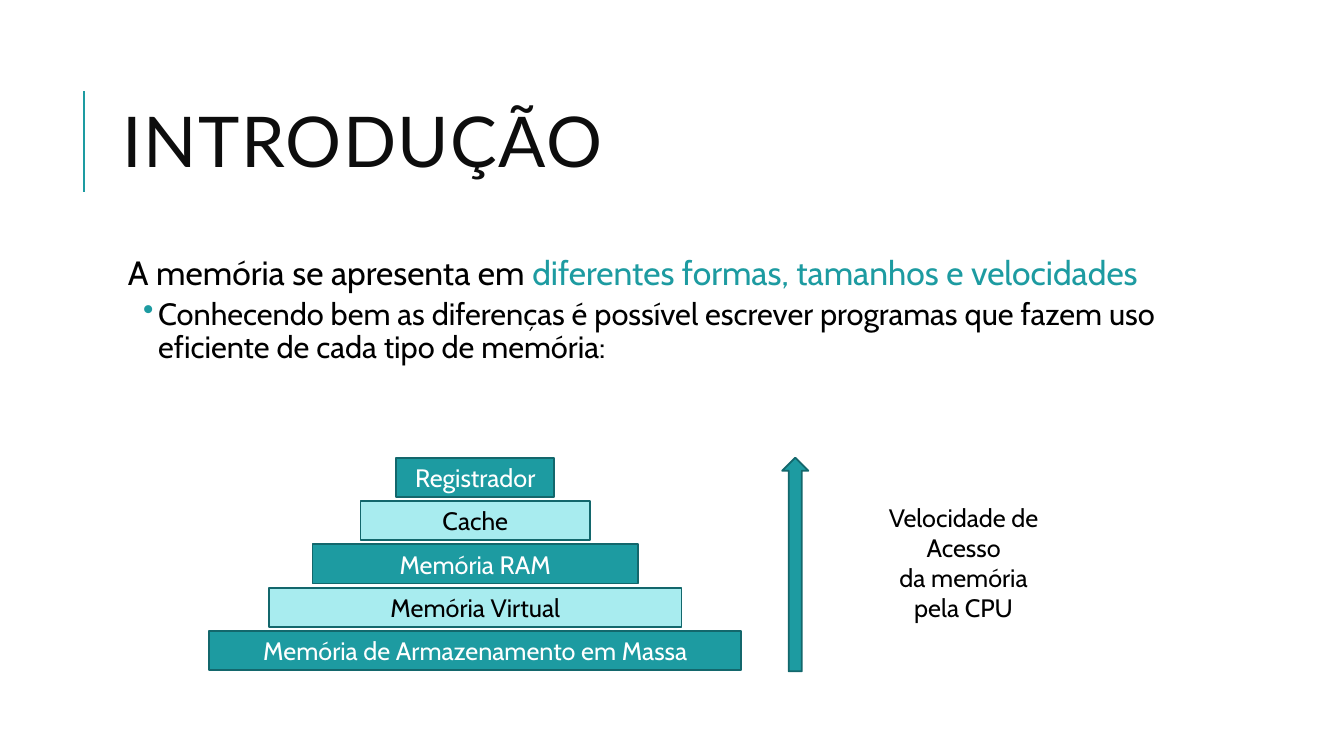
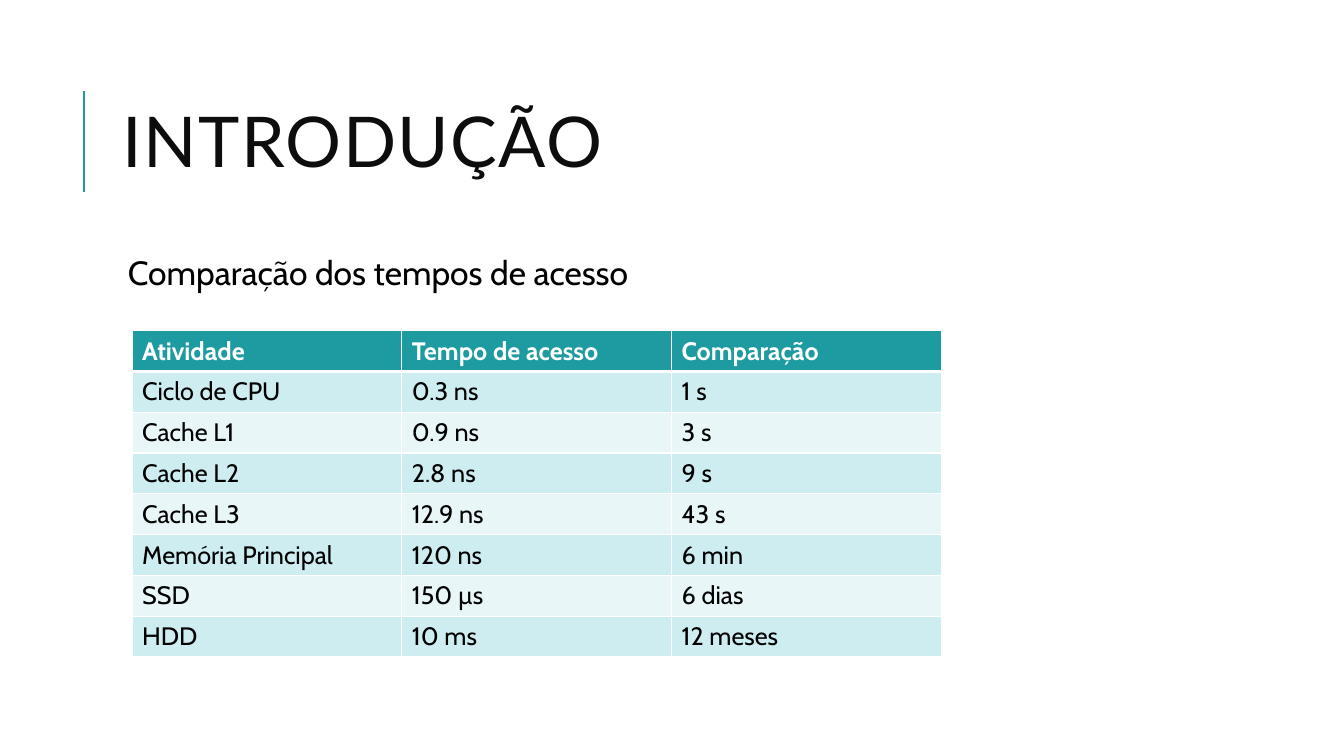
"""Builds two slides on the memory hierarchy and its access times."""
from dataclasses import dataclass
from typing import Optional

from lxml.etree import SubElement
from pptx import Presentation
from pptx.dml.color import RGBColor
from pptx.enum.shapes import MSO_CONNECTOR, MSO_SHAPE as Shape
from pptx.enum.text import MSO_ANCHOR as Anchor, PP_ALIGN as Align
from pptx.oxml.ns import qn
from pptx.util import Emu, Inches, Pt

COLS, ROWS = 160, 90
UNIT = Inches(1) // 12

TEAL = RGBColor(0x1D, 0x9B, 0xA1)
DARK_TEAL = RGBColor(0x13, 0x67, 0x6C)
AQUA = RGBColor(0xA8, 0xEC, 0xEF)
BAND = RGBColor(0xCD, 0xED, 0xF0)
PALE_BAND = RGBColor(0xE8, 0xF6, 0xF8)
INK = RGBColor(0x0D, 0x0D, 0x0D)
BLACK = RGBColor(0, 0, 0)
WHITE = RGBColor(0xFF, 0xFF, 0xFF)

TITLE_FONT, BODY_FONT = "Lato", "Cabin"


@dataclass(frozen=True)
class Box:
    """A rectangle in grid columns and rows."""
    left: float
    top: float
    width: float
    height: float

    def emu(self) -> tuple[Emu, ...]:
        """Return left, top, width and height as slide lengths."""
        return tuple(grid(n) for n in (self.left, self.top, self.width, self.height))


@dataclass(frozen=True)
class Level:
    """A step of the memory pyramid."""
    name: str
    width: float


TITLE_BOX = Box(13.44, 7.68, 127.56, 19.68)
BODY_BOX = Box(13.44, 30, 127.56, 52.8)
ARROW_BOX = Box(93.12, 54.48, 3.12, 25.44)
NOTE_BOX = Box(100.32, 59.16, 28.8, 12.12)
TABLE_BOX = Box(15.72, 39.36, 96.36, 38.88)

PYRAMID_CENTER, PYRAMID_TOP = 56.58, 54.48
LEVEL_HEIGHT, LEVEL_PITCH = 4.68, 5.16
LEVELS = [
    Level("Registrador", 18.84),
    Level("Cache", 27.36),
    Level("Memória RAM", 38.76),
    Level("Memória Virtual", 49.08),
    Level("Memória de Armazenamento em Massa", 63.36),
]

ACCESS_TIMES = [
    ("Atividade", "Tempo de acesso", "Comparação"),
    ("Ciclo de CPU", "0.3 ns", "1 s"),
    ("Cache L1", "0.9 ns", "3 s"),
    ("Cache L2", "2.8 ns", "9 s"),
    ("Cache L3", "12.9 ns", "43 s"),
    ("Memória Principal", "120 ns", "6 min"),
    ("SSD", "150 µs", "6 dias"),
    ("HDD", "10 ms", "12 meses"),
]


def grid(n: float) -> Emu:
    """Convert grid units to a slide length."""
    return Emu(round(n * UNIT))


def write(p, text: str, *, size: float = 18, color: RGBColor = BLACK,
          font: str = BODY_FONT, bold: bool = False, tracking: float = 0,
          align: Optional[Align] = None) -> None:
    """Add formatted text to a paragraph, breaking lines at newlines."""
    if align is not None:
        p.alignment = align
    for i, line in enumerate(text.split("\n")):
        if i:
            p.add_line_break()
        r = p.add_run()
        r.text = line
        r.font.size, r.font.name, r.font.bold = Pt(size), font, bold
        r.font.color.rgb = color
        if tracking:
            r.font._element.set("spc", str(round(tracking * 100)))


def space(p, line: float, before: float = 0, after: float = 0) -> None:
    """Set the line and paragraph spacing."""
    p.line_spacing, p.space_before, p.space_after = line, Pt(before), Pt(after)


def indent(p, left: float, hanging: float = 0, bullet: str = "") -> None:
    """Indent a paragraph by inches and give it an optional bullet."""
    pPr = p._p.get_or_add_pPr()
    pPr.set("marL", str(Inches(left)))
    pPr.set("indent", str(-Inches(hanging)))
    if bullet:
        color = SubElement(pPr, qn("a:buClr"))
        SubElement(color, qn("a:srgbClr"), val=str(TEAL))
        SubElement(pPr, qn("a:buChar"), char=bullet)


def add_text_box(s, box: Box, anchor: Anchor = Anchor.TOP):
    """Add a wrapping text box and return its text frame."""
    tf = s.shapes.add_textbox(*box.emu()).text_frame
    tf.word_wrap = True
    tf.vertical_anchor = anchor
    return tf


def add_shape(s, kind: Shape, box: Box, fill: RGBColor):
    """Add a filled shape with the dark outline."""
    sp = s.shapes.add_shape(kind, *box.emu())
    sp.shadow.inherit = False
    sp.fill.solid()
    sp.fill.fore_color.rgb = fill
    sp.line.color.rgb = DARK_TEAL
    sp.line.width = Pt(1.25)
    return sp


def add_slide(prs, title: str, heading: list[tuple[str, RGBColor]]):
    """Add a slide with rule, title and heading; return it and its body frame."""
    s = prs.slides.add_slide(prs.slide_layouts[6])
    rule = s.shapes.add_connector(MSO_CONNECTOR.STRAIGHT, grid(10), grid(22.8),
                                  grid(10), grid(10.8))
    rule.line.color.rgb = TEAL
    rule.line.width = Pt(1.5)
    SubElement(rule._element.spPr, qn("a:effectLst"))

    p = add_text_box(s, TITLE_BOX, Anchor.MIDDLE).paragraphs[0]
    space(p, 0.8)
    write(p, title, size=50, color=INK, font=TITLE_FONT, tracking=1)

    tf = add_text_box(s, BODY_BOX)
    tf.margin_left = tf.margin_right = Inches(0.05)
    p = tf.paragraphs[0]
    space(p, 0.9, 12, 2)
    indent(p, 0.1)
    for text, color in heading:
        write(p, text, size=24, color=color)
    return s, tf


def add_pyramid(s) -> None:
    """Draw the memory levels, centred on one axis."""
    for i, level in enumerate(LEVELS):
        box = Box(PYRAMID_CENTER - level.width / 2, PYRAMID_TOP + i * LEVEL_PITCH,
                  level.width, LEVEL_HEIGHT)
        fill, color = (AQUA, BLACK) if i % 2 else (TEAL, WHITE)
        tf = add_shape(s, Shape.RECTANGLE, box, fill).text_frame
        tf.vertical_anchor = Anchor.MIDDLE
        write(tf.paragraphs[0], level.name, color=color, align=Align.CENTER)


def set_borders(cell, **widths: float) -> None:
    """Give the named sides of a cell white borders of the given widths."""
    tcPr = cell._tc.get_or_add_tcPr()
    for i, (side, width) in enumerate(widths.items()):
        ln = tcPr.makeelement(qn(f"a:ln{side}"), {"w": str(Pt(width))})
        fill = SubElement(ln, qn("a:solidFill"))
        SubElement(fill, qn("a:srgbClr"), val=str(WHITE))
        tcPr.insert(i, ln)


def add_access_table(s) -> None:
    """Draw the banded table of access times."""
    n_rows, n_cols = len(ACCESS_TIMES), len(ACCESS_TIMES[0])
    table = s.shapes.add_table(n_rows, n_cols, *TABLE_BOX.emu()).table
    for column in table.columns:
        column.width = grid(TABLE_BOX.width / n_cols)
    for i, values in enumerate(ACCESS_TIMES):
        table.rows[i].height = grid(TABLE_BOX.height / n_rows)
        header = i == 0
        fill = TEAL if header else BAND if i % 2 else PALE_BAND
        for j, value in enumerate(values):
            cell = table.cell(i, j)
            cell.fill.solid()
            cell.fill.fore_color.rgb = fill
            set_borders(cell, L=1, R=1, T=3 if i == 1 else 1, B=3 if header else 1)
            write(cell.text_frame.paragraphs[0], value, bold=header,
                  color=WHITE if header else BLACK)


def add_hierarchy_slide(prs) -> None:
    """Add the slide with the memory pyramid."""
    s, tf = add_slide(prs, "INTRODUÇÃO", [
        ("A memória se apresenta em ", BLACK),
        ("diferentes formas, tamanhos e velocidades", TEAL),
    ])
    p = tf.add_paragraph()
    p.level = 1
    space(p, 0.9, 2, 4)
    indent(p, 0.4, 0.15, "•")
    write(p, "Conhecendo bem as diferenças é possível escrever programas que "
             "fazem uso eficiente de cada tipo de memória:", size=22)
    add_shape(s, Shape.UP_ARROW, ARROW_BOX, TEAL)
    write(add_text_box(s, NOTE_BOX).paragraphs[0],
          "Velocidade de Acesso\nda memória\npela CPU", align=Align.CENTER)
    add_pyramid(s)


def add_times_slide(prs) -> None:
    """Add the slide with the table of access times."""
    s, _ = add_slide(prs, "INTRODUÇÃO", [("Comparação dos tempos de acesso", BLACK)])
    add_access_table(s)


def main() -> None:
    """Build and save the presentation."""
    prs = Presentation()
    prs.slide_width, prs.slide_height = grid(COLS), grid(ROWS)
    add_hierarchy_slide(prs)
    add_times_slide(prs)
    prs.save("out.pptx")


if __name__ == "__main__":
    main()
